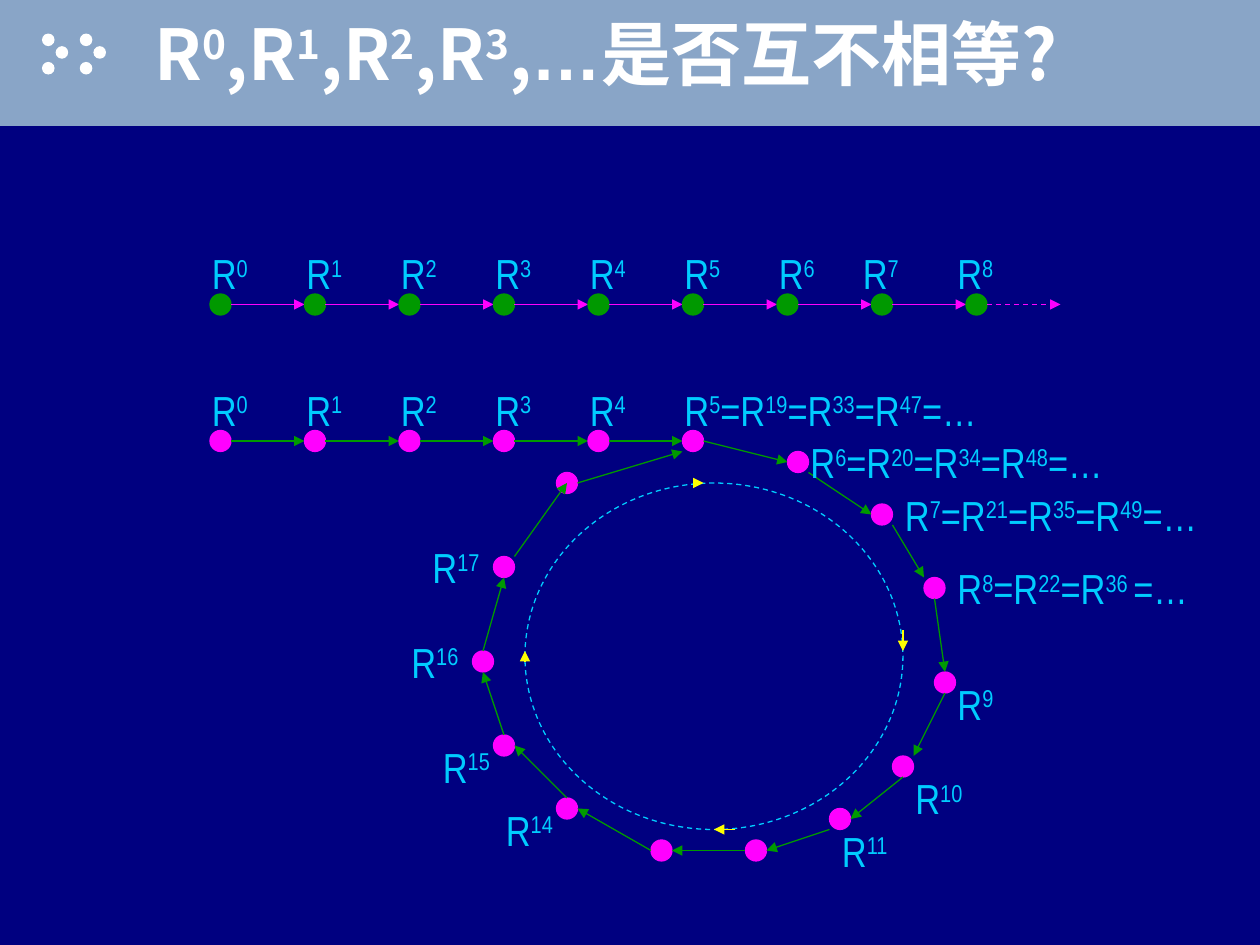
"""Build a slide that asks whether the powers of a relation R are all distinct."""
from pptx import Presentation
from pptx.dml.color import RGBColor
from pptx.enum.dml import MSO_LINE_DASH_STYLE as Dash
from pptx.enum.shapes import MSO_CONNECTOR as Connector, MSO_SHAPE as Shape
from pptx.enum.text import MSO_ANCHOR as Anchor, MSO_AUTO_SIZE as AutoSize, PP_ALIGN as Align
from pptx.oxml import parse_xml
from pptx.oxml.ns import nsdecls
from pptx.util import Pt

PX = 7620
NAVY = RGBColor(0x00, 0x00, 0x80)
STEEL = RGBColor(0x89, 0xA5, 0xC7)
WHITE = RGBColor(0xFF, 0xFF, 0xFF)
GREEN = RGBColor(0x00, 0x99, 0x00)
MAGENTA = RGBColor(0xFF, 0x00, 0xFF)
CYAN = RGBColor(0x00, 0xCC, 0xFF)
YELLOW = RGBColor(0xFF, 0xFF, 0x00)

DOT = 20
STEP = 90
CHAIN_LEFT = 200
LOOP_DOTS = [
    (750, 430), (830, 480), (880, 550), (890, 640), (850, 720), (790, 770), (710, 800),
    (620, 800), (530, 760), (470, 700), (450, 620), (470, 530), (530, 450),
]
LOOP_ARROWS = [
    (670, 420, 750, 440), (770, 450, 830, 490), (850, 500, 880, 550), (890, 570, 900, 640),
    (900, 660, 870, 720), (860, 740, 810, 780), (790, 790, 730, 810), (710, 810, 640, 810),
    (620, 810, 550, 770), (540, 760, 490, 710), (480, 700, 460, 640), (460, 620, 480, 550),
    (490, 530, 540, 460), (550, 460, 650, 430),
]
TURN_ARROWS = [
    (860, 600, 860, 620), (500, 630, 500, 620), (660, 460, 670, 460), (700, 790, 680, 790),
]
LOOP_LABELS = [
    ("R|5|=R|19|=R|33|=R|47|=…", 640, 360, 340), ("R|6|=R|20|=R|34|=R|48|=…", 760, 410, 340),
    ("R|7|=R|21|=R|35|=R|49|=…", 850, 460, 330), ("R|8|=R|22|=R|36 |=…", 900, 530, 260),
    ("R|9", 900, 640, 80), ("R|10", 860, 730, 90), ("R|11", 790, 780, 100),
    ("R|14", 470, 760, 80), ("R|15", 410, 700, 80), ("R|16", 380, 600, 80), ("R|17", 400, 510, 80),
]


class Board:
    """Holds the style and the current slide."""

    label_font = "Arial Narrow"
    title_font = "Noto Sans CJK SC"
    line_width = Pt(0.75)

    def __init__(self, deck):
        self.slide = deck.slides.add_slide(deck.slide_layouts[5])
        self.shapes = self.slide.shapes
        background = self.slide.background.fill
        background.solid()
        background.fore_color.rgb = NAVY

    def figure(self, kind, left, top, width, height, fill=None, line=None):
        figure = self.shapes.add_shape(kind, left * PX, top * PX, width * PX, height * PX)
        figure.shadow.inherit = False
        if fill is None:
            figure.fill.background()
        else:
            figure.fill.solid()
            figure.fill.fore_color.rgb = fill
        if line is None:
            figure.line.fill.background()
        else:
            figure.line.color.rgb = line
            figure.line.width = self.line_width
        return figure

    def dot(self, left, top, color):
        self.figure(Shape.OVAL, left, top, DOT, DOT, color, color)

    def arrow(self, ends, color, dashed=False):
        arrow = self.shapes.add_connector(Connector.STRAIGHT, *(end * PX for end in ends))
        arrow.line.color.rgb = color
        arrow.line.width = self.line_width
        if dashed:
            arrow.line.dash_style = Dash.DASH
        arrow.line._get_or_add_ln().append(
            parse_xml(f'<a:tailEnd {nsdecls("a")} type="triangle"/>'))
        arrow._element.spPr.append(parse_xml(f'<a:effectLst {nsdecls("a")}/>'))

    def powers(self, paragraph, marked, face, size, color, bold=False):
        """Add runs from text split by bars, every second part raised."""
        runs = []
        for index, part in enumerate(marked.split("|")):
            run = paragraph.add_run()
            run.text = part
            run.font.size = Pt(size)
            run.font.bold = bold
            run.font.color.rgb = color
            run.font.name = face
            properties = run._r.get_or_add_rPr()
            properties.append(parse_xml(f'<a:ea {nsdecls("a")} typeface="{face}"/>'))
            if index % 2:
                properties.set("baseline", "30000")
            runs.append(run)
        return runs

    def label(self, marked, left, top, width=60):
        label = self.shapes.add_textbox(left * PX, top * PX, width * PX, 60 * PX)
        label.text_frame.word_wrap = True
        self.powers(label.text_frame.paragraphs[0], marked, self.label_font, 24, CYAN)

    def title(self, parts):
        title = self.shapes.title
        self.shapes._spTree.append(title._element)
        title.left, title.top, title.width, title.height = 120 * PX, 0, 1080 * PX, 100 * PX
        frame = title.text_frame
        frame.word_wrap = True
        frame.auto_size = AutoSize.NONE
        frame.vertical_anchor = Anchor.MIDDLE
        frame.margin_left = 27 * PX
        heading = frame.paragraphs[0]
        heading.alignment = Align.LEFT
        for marked, face in parts:
            for run in self.powers(heading, marked, face, 40, WHITE, True):
                run._r.rPr.find("{*}solidFill").addnext(parse_xml(
                    f'<a:effectLst {nsdecls("a")}><a:outerShdw dist="25400" dir="2700000">'
                    '<a:srgbClr val="000000"/></a:outerShdw></a:effectLst>'))

    def chain(self, top, count, arrows, dot_color, arrow_color, open_end=False):
        middle = top + DOT // 2
        for index in range(count):
            left = CHAIN_LEFT + index * STEP
            self.dot(left, top, dot_color)
            if index < arrows:
                ends = (left + DOT, middle, left + STEP, middle)
                self.arrow(ends, arrow_color, open_end and index == arrows - 1)


def main():
    deck = Presentation()
    deck.slide_width, deck.slide_height = 1200 * PX, 900 * PX
    board = Board(deck)

    board.figure(Shape.RECTANGLE, 0, 0, 1200, 120, STEEL)
    for shift in (0, 36):
        for left, top in ((40, 32), (53, 44), (40, 59)):
            board.figure(Shape.OVAL, left + shift, top, 12, 12, WHITE)
    board.title([("R|0|,R|1|,R|2|,R|3|,", board.title_font), ("…", "Arial"),
                 ("是否互不相等?", board.title_font)])

    board.chain(280, 9, 9, GREEN, MAGENTA, open_end=True)
    board.chain(410, 6, 5, MAGENTA, GREEN)
    for left, top in LOOP_DOTS:
        board.dot(left, top, MAGENTA)
    for ends in LOOP_ARROWS:
        board.arrow(ends, GREEN)
    orbit = board.figure(Shape.OVAL, 500, 460, 360, 330, line=CYAN)
    orbit.line.dash_style = Dash.DASH
    for ends in TURN_ARROWS:
        board.arrow(ends, YELLOW)

    for power in range(9):
        nudge = 10 if power > 6 else 0
        board.label(f"R|{power}", 190 + power * STEP - nudge, 230)
    for power in range(5):
        board.label(f"R|{power}", 190 + power * STEP, 360)
    for label in LOOP_LABELS:
        board.label(*label)

    deck.save("out.pptx")


if __name__ == "__main__":
    main()
